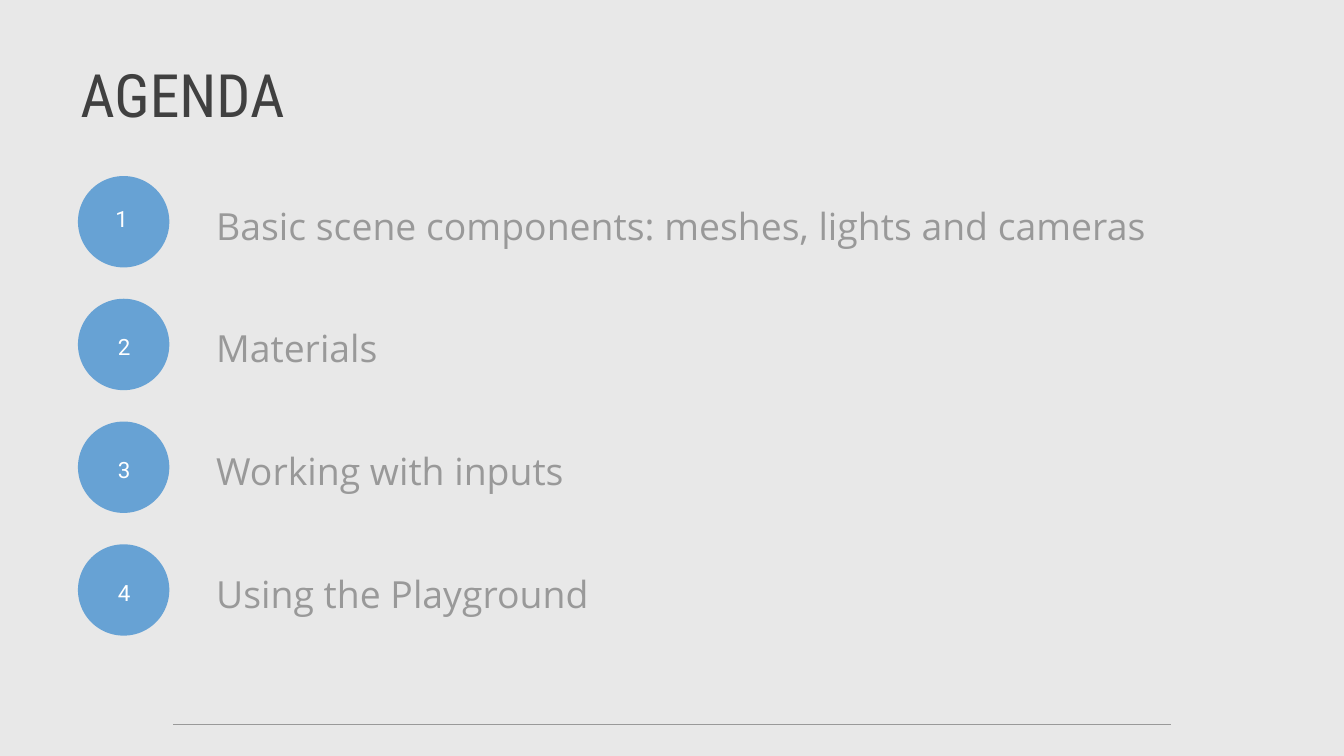
from lxml.etree import SubElement
from pptx import Presentation
from pptx.dml.color import RGBColor
from pptx.enum.shapes import MSO_CONNECTOR, MSO_SHAPE
from pptx.enum.text import MSO_ANCHOR, PP_ALIGN
from pptx.oxml.ns import qn
from pptx.util import Inches, Pt

COLORS = {
    "background": "E8E8E8",
    "title": "404040",
    "circle": "4791D0",
    "number": "FFFFFF",
    "muted": "999999",
}
AGENDA = [
    "Basic scene components: meshes, lights and cameras",
    "Materials",
    "Working with inputs",
    "Using the Playground",
]

# Agenda grid, in inches
FIRST_TOP, LAST_TOP = 1.31, 4.05
ROW_PITCH = (LAST_TOP - FIRST_TOP) / (len(AGENDA) - 1)
CIRCLE_LEFT, CIRCLE_SIZE = 0.58, 0.68
NUMBER_LEFT, NUMBER_DROP = 0.69, 0.21
TOPIC_LEFT, TOPIC_DROP = 1.51, 0.15
FIRST_NUMBER_SHIFT = (-0.02, -0.04)  # the first number sits up and left
FIRST_TOPIC_WIDTH, TOPIC_WIDTH = 7.41, 7


def color(name):
    return RGBColor.from_string(COLORS[name])


def add_text(slide, text, left, top, width, height, *, font, size, fill,
             align=PP_ALIGN.LEFT, anchor=MSO_ANCHOR.TOP):
    box = slide.shapes.add_textbox(*map(Inches, (left, top, width, height)))
    frame = box.text_frame
    frame.word_wrap = True
    frame.vertical_anchor = anchor
    paragraph = frame.paragraphs[0]
    paragraph.alignment = align
    run = paragraph.add_run()
    run.text = text
    run.font.name = font
    run.font.size = Pt(size)
    run.font.color.rgb = color(fill)


def add_circle(slide, left, top, size, opacity):
    circle = slide.shapes.add_shape(
        MSO_SHAPE.OVAL, *map(Inches, (left, top, size, size)))
    circle.shadow.inherit = False
    circle.line.fill.background()
    circle.fill.solid()
    circle.fill.fore_color.rgb = color("circle")
    # Transparency
    fill = circle._element.spPr.find(qn("a:solidFill"))
    SubElement(fill[0], qn("a:alpha"), val=str(opacity * 1000))


def add_rule(slide, left, right, top):
    rule = slide.shapes.add_connector(
        MSO_CONNECTOR.STRAIGHT, *map(Inches, (left, top, right, top)))
    rule.line.color.rgb = color("muted")
    rule.line.width = Pt(0.75)
    SubElement(rule._element.spPr, qn("a:effectLst"))


def add_agenda_row(slide, index, topic):
    top = FIRST_TOP + index * ROW_PITCH
    is_first = index == 0
    shift_x, shift_y = FIRST_NUMBER_SHIFT if is_first else (0, 0)
    add_circle(slide, CIRCLE_LEFT, top, CIRCLE_SIZE, opacity=80)
    add_text(slide, str(index + 1), NUMBER_LEFT + shift_x,
             top + NUMBER_DROP + shift_y, 0.47, 0.3,
             font="Roboto", size=12, fill="number", align=PP_ALIGN.CENTER)
    add_text(slide, topic, TOPIC_LEFT, top + TOPIC_DROP,
             FIRST_TOPIC_WIDTH if is_first else TOPIC_WIDTH, 0.44,
             font="Open Sans", size=20, fill="muted")


def main():
    presentation = Presentation()
    presentation.slide_width = Inches(10)
    presentation.slide_height = presentation.slide_width * 9 // 16
    slide = presentation.slides.add_slide(presentation.slide_layouts[6])
    slide.background.fill.solid()
    slide.background.fill.fore_color.rgb = color("background")

    # Title
    add_text(slide, "AGENDA", 0.5, 0.23, 9, 0.94, font="Roboto Condensed",
             size=32, fill="title", anchor=MSO_ANCHOR.MIDDLE)

    # Numbered topics
    for index, topic in enumerate(AGENDA):
        add_agenda_row(slide, index, topic)

    # Footer rule
    add_rule(slide, 1.29, 8.71, 5.39)

    presentation.save("out.pptx")


if __name__ == "__main__":
    main()
